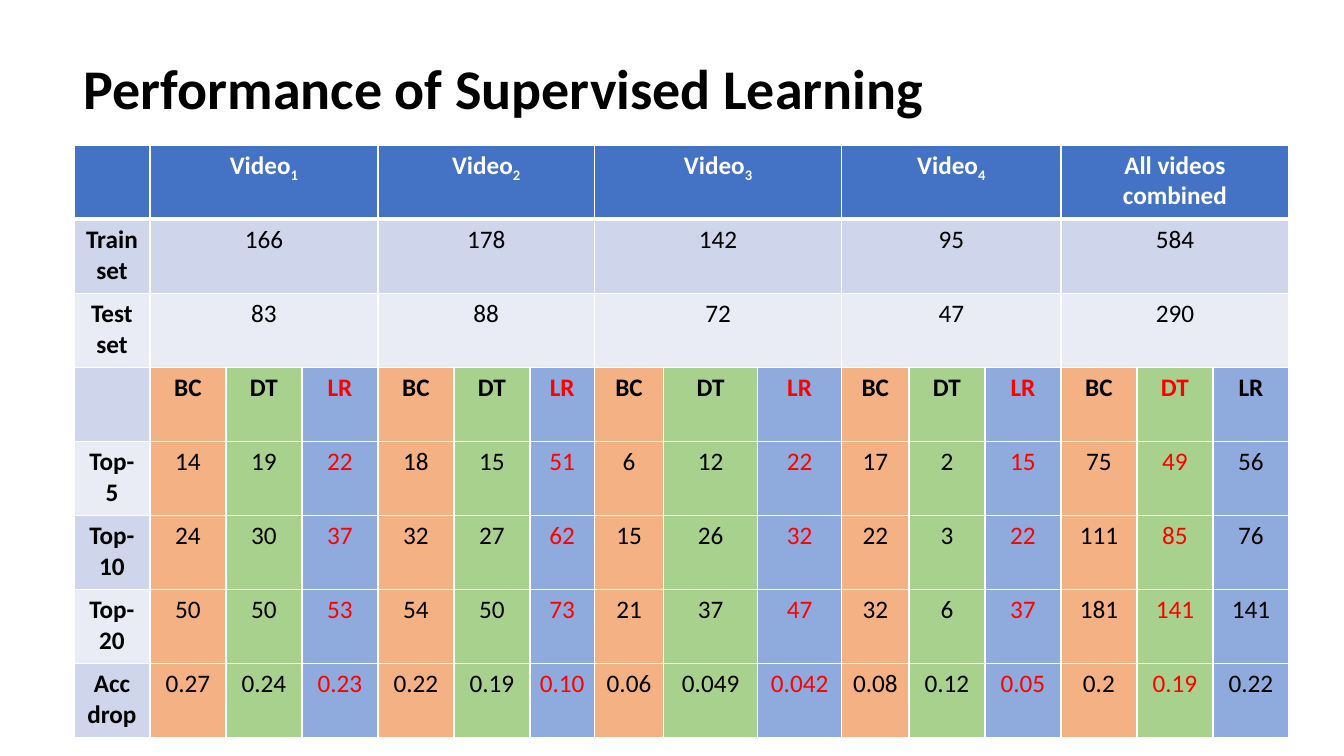
from dataclasses import dataclass

from lxml import etree
from pptx import Presentation
from pptx.dml.color import RGBColor
from pptx.enum.text import PP_ALIGN as Align
from pptx.oxml.ns import qn
from pptx.util import Pt


@dataclass(frozen=True)
class Theme:
    font: str = "Calibri"
    title_size: int = 40
    table_size: int = 18
    text: str = "000000"
    white: str = "FFFFFF"
    best: str = "FF0000"
    header: str = "4472C4"
    bands: tuple = ("E9EBF5", "CFD5EA")
    methods: tuple = ("F4B183", "A9D18E", "8FAADC")


METHODS = ["BC", "DT", "LR"]
BEST_METHODS = ["LR", "LR", "LR", "LR", "DT"]
VIDEOS = [("Video", "1"), ("Video", "2"), ("Video", "3"), ("Video", "4"),
          ("All videos combined", "")]
SET_SIZES = [
    ("Train set", "166 178 142 95 584"),
    ("Test set", "83 88 72 47 290"),
]
SCORES = [
    ("", " ".join(METHODS * len(VIDEOS))),
    ("Top-5", "14 19 22 18 15 51 6 12 22 17 2 15 75 49 56"),
    ("Top-10", "24 30 37 32 27 62 15 26 32 22 3 22 111 85 76"),
    ("Top-20", "50 50 53 54 50 73 21 37 47 32 6 37 181 141 141"),
    ("Acc drop", "0.27 0.24 0.23 0.22 0.19 0.10 0.06 0.049 0.042 "
                 "0.08 0.12 0.05 0.2 0.19 0.22"),
]
COLUMN_WIDTHS = [54.3] * 6 + [46.1, 49.5, 67, 60.2, 48] + [54.3] * 5
ROW_HEIGHT = 52.9


class SlideBuilder:
    def __init__(self, slide, theme):
        self.slide = slide
        self.theme = theme

    def style_run(self, run, size, color, bold):
        run.font.name = self.theme.font
        run.font.size = Pt(size)
        run.font.bold = bold
        run.font.color.rgb = RGBColor.from_string(color)

    def title(self, text, left, top, width, height):
        box = self.slide.shapes.add_textbox(Pt(left), Pt(top), Pt(width), Pt(height))
        box.text_frame.word_wrap = True
        box.text_frame.text = text
        run = box.text_frame.paragraphs[0].runs[0]
        self.style_run(run, self.theme.title_size, self.theme.text, True)

    def table(self, left, top, column_widths, row_count, row_height):
        frame = self.slide.shapes.add_table(
            row_count, len(column_widths), Pt(left), Pt(top),
            Pt(sum(column_widths)), Pt(row_count * row_height))
        table = frame.table
        for column, width in zip(table.columns, column_widths):
            column.width = Pt(width)
        for row in table.rows:
            row.height = Pt(row_height)
        return table

    def borders(self, cell, top=1, bottom=1):
        properties = cell._tc.get_or_add_tcPr()
        for side, width in (("L", 1), ("R", 1), ("T", top), ("B", bottom)):
            line = etree.SubElement(properties, qn(f"a:ln{side}"), w=str(Pt(width)))
            fill = etree.SubElement(line, qn("a:solidFill"))
            etree.SubElement(fill, qn("a:srgbClr"), val=self.theme.white)

    def cell(self, cell, text, fill, color=None, bold=False, subscript=""):
        cell.fill.solid()
        cell.fill.fore_color.rgb = RGBColor.from_string(fill)
        paragraph = cell.text_frame.paragraphs[0]
        paragraph.alignment = Align.CENTER
        paragraph.font.size = Pt(self.theme.table_size)
        if not text:
            return
        paragraph.text = text
        if subscript:
            small_run = paragraph.add_run()
            small_run.text = subscript
            small_run._r.get_or_add_rPr().set("baseline", "-25000")
        for run in paragraph.runs:
            self.style_run(run, self.theme.table_size, color or self.theme.text, bold)

    def group_cell(self, table, row, group, text, fill, **style):
        first = 1 + group * len(METHODS)
        cell = table.cell(row, first)
        cell.merge(table.cell(row, first + len(METHODS) - 1))
        self.cell(cell, text, fill, **style)


def main():
    theme = Theme()
    presentation = Presentation()
    presentation.slide_width, presentation.slide_height = Pt(960), Pt(540)
    slide = presentation.slides.add_slide(presentation.slide_layouts[6])
    builder = SlideBuilder(slide, theme)

    # Table grid with a heavier rule under the header
    row_count = 1 + len(SET_SIZES) + len(SCORES)
    table = builder.table(52.8, 103.7, COLUMN_WIDTHS, row_count, ROW_HEIGHT)
    for row in range(row_count):
        for column in range(len(COLUMN_WIDTHS)):
            builder.borders(table.cell(row, column), top=3 if row == 1 else 1,
                            bottom=3 if row == 0 else 1)

    # Header row
    builder.cell(table.cell(0, 0), "", theme.header)
    for group, (name, subscript) in enumerate(VIDEOS):
        builder.group_cell(table, 0, group, name, theme.header,
                           color=theme.white, bold=True, subscript=subscript)

    # Row labels on alternating bands
    for row, (label, _) in enumerate(SET_SIZES + SCORES, start=1):
        builder.cell(table.cell(row, 0), label, theme.bands[row % 2], bold=True)

    # Set sizes, one merged cell per video
    for row, (_, sizes) in enumerate(SET_SIZES, start=1):
        for group, size in enumerate(sizes.split()):
            builder.group_cell(table, row, group, size, theme.bands[row % 2])

    # Scores per method, the best method of each video in red
    first_score_row = 1 + len(SET_SIZES)
    for row, (_, scores) in enumerate(SCORES, start=first_score_row):
        for index, score in enumerate(scores.split()):
            group, method = divmod(index, len(METHODS))
            is_best = METHODS[method] == BEST_METHODS[group]
            cell = table.cell(row, index + 1)
            cell.margin_left = cell.margin_right = Pt(5)
            builder.cell(cell, score, theme.methods[method],
                         color=theme.best if is_best else theme.text,
                         bold=row == first_score_row)

    # Title
    builder.title("Performance of Supervised Learning", 52.8, 34.6, 855.4, 55.7)

    presentation.save("out.pptx")


if __name__ == "__main__":
    main()
